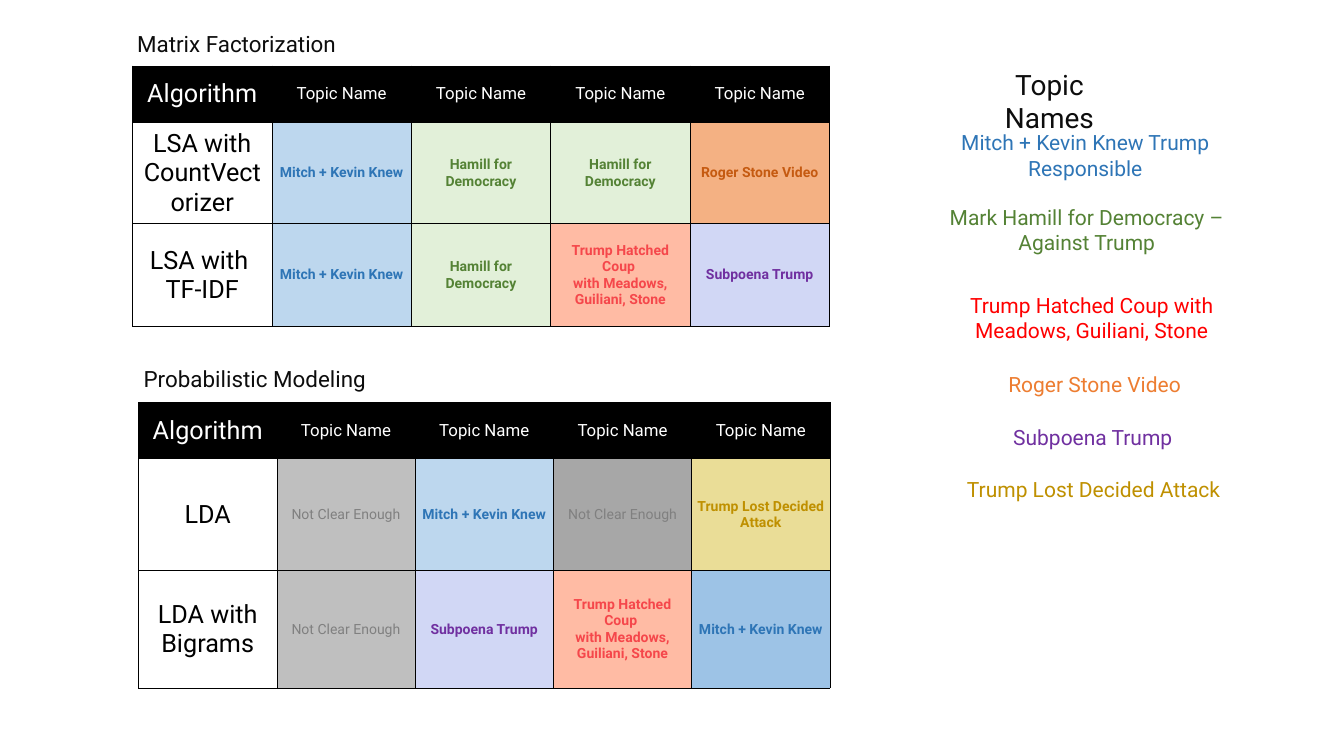
import pptx
import pptx.util
import pptx.dml.color
import pptx.enum.text
import pptx.oxml
import pptx.oxml.ns

Inches = pptx.util.Inches
Pt = pptx.util.Pt
Align = pptx.enum.text.PP_ALIGN
Anchor = pptx.enum.text.MSO_ANCHOR
Fit = pptx.enum.text.MSO_AUTO_SIZE

THEME = {
    "font": "Roboto",
    "title": 40, "label": 32, "key": 30,
    "algo": 36, "head": 24, "cell": 20,
    "ink": "0D0D0D", "black": "000000", "white": "FFFFFF",
    "blue": "2E75B6", "green": "548235", "red": "FF0000",
    "orange": "ED7D31", "purple": "7030A0", "gold": "BF9000",
    "rust": "C55A11", "coral": "F5474B", "grey": "808080",
}

# Topic: lines, ink, fill, bold
COUP = ["Trump Hatched Coup ", "with Meadows, Guiliani, Stone"]
TOPICS = {
    "mitch": (["Mitch + Kevin Knew"], "blue", "BDD7EE", True),
    "mitch dark": (["Mitch + Kevin Knew"], "blue", "9DC3E6", True),
    "hamill": (["Hamill for Democracy"], "green", "E2F0D9", True),
    "stone": (["Roger Stone Video"], "rust", "F4B183", True),
    "coup": (COUP, "coral", "FFBBA4", True),
    "subpoena": (["Subpoena Trump"], "purple", "D1D7F5", True),
    "lost": (["Trump Lost Decided Attack"], "gold", "EADD97", True),
    "unclear": (["Not Clear Enough"], "grey", "BFBFBF", False),
    "unclear dark": (["Not Clear Enough"], "grey", "A7A7A7", False),
}

HEADS = ["Algorithm"] + ["Topic Name"] * 4

TABLES = [
    {"label": "Matrix Factorization", "box": (2.67, 0.54, 4.12, 0.64),
     "at": (2.63, 1.31), "width": 13.83, "rows": (1.12, 2.01, 2.04),
     "body": [
         (["LSA with CountVectorizer"], ["mitch", "hamill", "hamill", "stone"]),
         (["LSA with ", "TF-IDF"], ["mitch", "hamill", "coup", "subpoena"]),
     ]},
    {"label": "Probabilistic Modeling", "box": (2.8, 7.19, 5.16, 0.64),
     "at": (2.75, 7.99), "width": 13.72, "rows": (1.11, 2.22, 2.33),
     "body": [
         (["LDA"], ["unclear", "mitch", "unclear dark", "lost"]),
         (["LDA with Bigrams"], ["unclear", "subpoena", "coup", "mitch dark"]),
     ]},
]

TITLE = ("Topic Names", (19.85, 1.28, 3.32, 0.77))
KEYS = [
    ("Mitch + Kevin Knew Trump Responsible", "blue", (18.04, 2.53, 6.99, 1.11), Align.CENTER),
    ("Mark Hamill for Democracy – Against Trump", "green", (18.16, 4.01, 6.81, 1.11), Align.CENTER),
    ("Trump Hatched Coup with Meadows, Guiliani, Stone", "red", (18.33, 5.76, 6.67, 1.11), Align.CENTER),
    ("Roger Stone Video", "orange", (19.91, 7.33, 3.99, 0.61), Align.LEFT),
    ("Subpoena Trump", "purple", (18.94, 8.38, 5.49, 0.61), Align.CENTER),
    ("Trump Lost Decided Attack", "gold", (19.09, 9.41, 5.62, 0.61), Align.LEFT),
]


def rgb(code):
    return pptx.dml.color.RGBColor.from_string(code)


def write(frame, lines, size, ink, align=Align.CENTER, bold=False):
    for num, line in enumerate(lines):
        para = frame.add_paragraph() if num else frame.paragraphs[0]
        para.alignment = align
        run = para.add_run()
        run.text = line
        run.font.name = THEME["font"]
        run.font.size = Pt(THEME[size])
        run.font.bold = bold
        run.font.color.rgb = rgb(THEME[ink])


def inset(frame, gap):
    frame.margin_left = frame.margin_right = Inches(gap)
    frame.margin_top = frame.margin_bottom = Inches(gap)


def add_text(slide, text, box, size, ink, align, gap=None):
    frame = slide.shapes.add_textbox(*map(Inches, box)).text_frame
    frame.word_wrap = True
    frame.auto_size = Fit.SHAPE_TO_FIT_TEXT
    if gap is not None:
        inset(frame, gap)
    write(frame, [text], size, ink, align)


def frame_cell(cell):
    """Draw a 1 pt black border on all four sides."""
    props = cell._tc.get_or_add_tcPr()
    for num, side in enumerate("LRTB"):
        props.insert(num, pptx.oxml.parse_xml(
            f'<a:ln{side} {pptx.oxml.ns.nsdecls("a")} w="{Pt(1)}"><a:solidFill>'
            f'<a:srgbClr val="{THEME["black"]}"/></a:solidFill></a:ln{side}>'))


def fill_cell(cell, lines, size, ink, fill=None, bold=False):
    cell.vertical_anchor = Anchor.MIDDLE
    if fill:
        cell.fill.solid()
        cell.fill.fore_color.rgb = rgb(fill)
    else:
        cell.fill.background()
    frame_cell(cell)
    write(cell.text_frame, lines, size, ink, bold=bold)


def add_grid(slide, data):
    rows, cols = len(data["rows"]), len(HEADS)
    box = (*data["at"], data["width"], sum(data["rows"]))
    grid = slide.shapes.add_table(rows, cols, *map(Inches, box)).table
    grid.first_row = grid.horz_banding = False
    for row, high in zip(grid.rows, data["rows"]):
        row.height = Inches(high)
    for col in grid.columns:
        col.width = Inches(data["width"] / cols)
    for num, head in enumerate(HEADS):
        size = "head" if num else "algo"
        fill_cell(grid.cell(0, num), [head], size, "white", THEME["black"])
    for row, (algo, names) in enumerate(data["body"], 1):
        fill_cell(grid.cell(row, 0), algo, "algo", "black")
        for col, name in enumerate(names, 1):
            lines, ink, fill, bold = TOPICS[name]
            fill_cell(grid.cell(row, col), lines, "cell", ink, fill, bold)


def set_title(slide):
    text, box = TITLE
    title = slide.shapes.title
    title.left, title.top, title.width, title.height = map(Inches, box)
    frame = title.text_frame
    frame.word_wrap = True
    frame.auto_size = Fit.NONE
    frame.vertical_anchor = Anchor.TOP
    inset(frame, 0.05)
    frame.margin_right = Inches(1.42)  # narrow enough for one word a line
    write(frame, [text], "title", "ink")


def main():
    deck = pptx.Presentation()
    deck.slide_width, deck.slide_height = Inches(26.67), Inches(15)
    slide = deck.slides.add_slide(deck.slide_layouts[5])
    set_title(slide)
    for data in TABLES:
        add_grid(slide, data)
        add_text(slide, data["label"], data["box"], "label", "ink", Align.LEFT, 0.05)
    for text, ink, box, align in KEYS:
        add_text(slide, text, box, "key", ink, align)
    deck.save("out.pptx")


if __name__ == "__main__":
    main()
